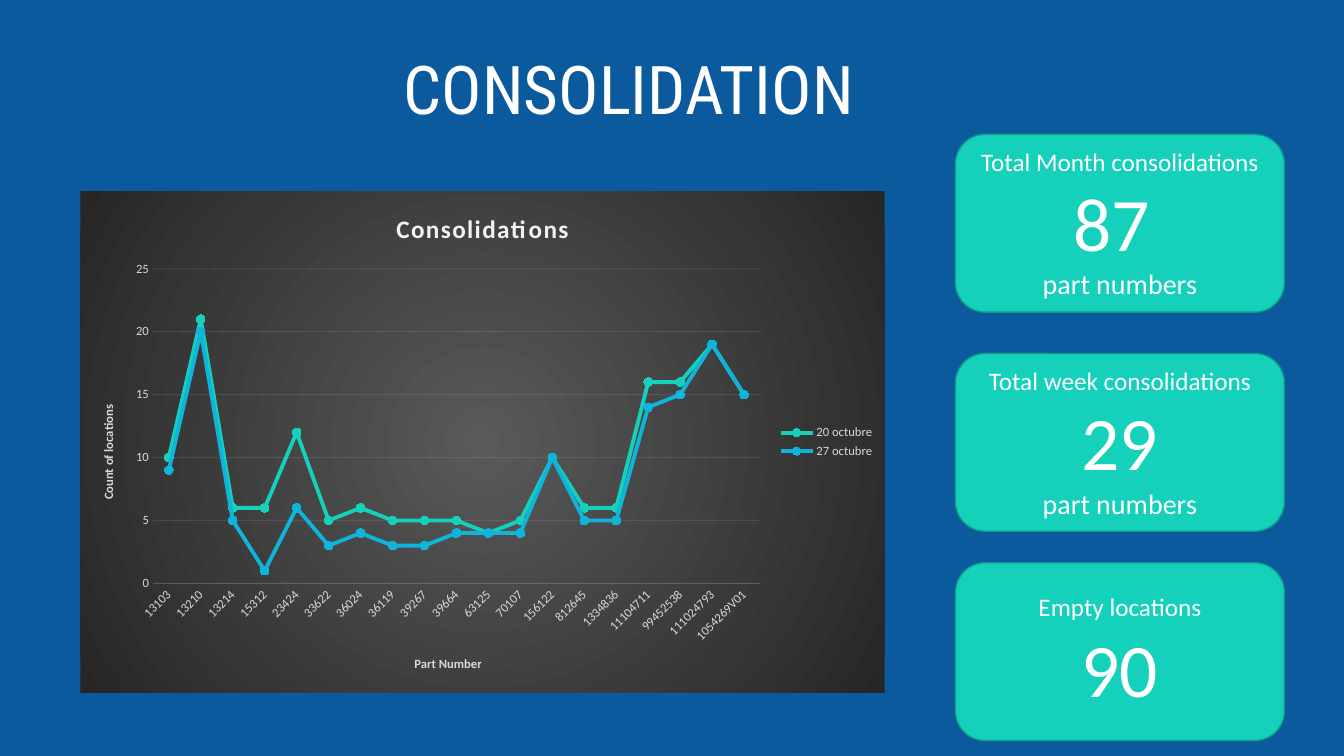
from pptx import Presentation
from pptx.chart.data import CategoryChartData
from pptx.dml.color import RGBColor
from pptx.enum.chart import XL_CHART_TYPE, XL_LEGEND_POSITION, XL_MARKER_STYLE, XL_TICK_MARK
from pptx.enum.shapes import MSO_SHAPE
from pptx.enum.text import MSO_ANCHOR, MSO_AUTO_SIZE, PP_ALIGN
from pptx.oxml import parse_xml
from pptx.oxml.ns import nsdecls
from pptx.util import Pt


class Theme:
    back, white = "0C5A9E", "FFFFFF"
    teal, edge, blue = "15D1BB", "109B8A", "0FB4DB"
    dots = ("0CDAC2", "05BAE5")
    pale, grid = "D9D9D9", "F2F2F2"
    core, rim = "595959", "262626"
    head, body = "Roboto Condensed", "Calibri"
    title, big, unit, label, base, tick = 48, 54, 20, 18, 10, 9


def dress(font, size, color, name=Theme.body, bold=False):
    look = {"size": Pt(size), "name": name, "bold": bold}
    for key, val in look.items():
        setattr(font, key, val)
    font.color.rgb = RGBColor.from_string(color)


def rule(line, color, width, alpha=None):
    line.fill.solid()
    line.fill.fore_color.rgb = RGBColor.from_string(color)
    line.width = Pt(width)
    if alpha:
        tint = line._get_or_add_ln().find(".//{*}srgbClr")
        tint.append(parse_xml(f'<a:alpha {nsdecls("a")} val="{alpha * 1000}"/>'))


deck = Presentation()
deck.slide_width, deck.slide_height = Pt(960), Pt(540)
slide = deck.slides.add_slide(deck.slide_layouts[5])
slide.background.fill.solid()
slide.background.fill.fore_color.rgb = RGBColor.from_string(Theme.back)

title = slide.shapes.title
place = {"left": 167, "top": 26, "width": 564.5, "height": 70}
for key, val in place.items():
    setattr(title, key, Pt(val))
frame = title.text_frame
frame.text = "CONSOLIDATION"
form = {
    "margin_left": 0, "margin_right": 0, "margin_top": Pt(3.6), "margin_bottom": Pt(3.6),
    "vertical_anchor": MSO_ANCHOR.BOTTOM, "word_wrap": True, "auto_size": MSO_AUTO_SIZE.NONE,
}
for key, val in form.items():
    setattr(frame, key, val)
para = frame.paragraphs[0]
para.alignment = PP_ALIGN.CENTER
para.line_spacing = 0.9
dress(para.runs[0].font, Theme.title, Theme.white, Theme.head)

data = CategoryChartData()
data.categories = [
    "13103", "13210", "13214", "15312", "23424", "33622", "36024", "36119", "39267", "39664",
    "63125", "70107", "156122", "812645", "1334836", "11104711", "99452538", "111024793",
    "1054269V01",
]
data.add_series("20 octubre", [10, 21, 6, 6, 12, 5, 6, 5, 5, 5, 4, 5, 10, 6, 6, 16, 16, 19, 15])
data.add_series("27 octubre", [9, 20, 5, 1, 6, 3, 4, 3, 3, 4, 4, 4, 10, 5, 5, 14, 15, 19, 15])
chart = slide.shapes.add_chart(
    XL_CHART_TYPE.LINE_MARKERS, Pt(57.5), Pt(136.5), Pt(574.5), Pt(358.5), data
).chart
dress(chart.font, Theme.base, Theme.pale)

chart.has_title = True
head = chart.chart_title.text_frame
head.text = "Consolidations"
dress(head.paragraphs[0].runs[0].font, Theme.label, Theme.grid, bold=True)
head.paragraphs[0].runs[0].font._element.set("spc", "100")

chart.has_legend = True
chart.legend.position = XL_LEGEND_POSITION.RIGHT
chart.legend.include_in_layout = False
dress(chart.legend.font, Theme.tick, Theme.pale)

parts, count = chart.category_axis, chart.value_axis
for axis, name in ((parts, "Part Number"), (count, "Count of locations")):
    axis.major_tick_mark = axis.minor_tick_mark = XL_TICK_MARK.NONE
    dress(axis.tick_labels.font, Theme.tick, Theme.pale)
    axis.axis_title.text_frame.text = name
    dress(axis.axis_title.text_frame.paragraphs[0].runs[0].font, Theme.tick, Theme.pale, bold=True)
parts._element.txPr.bodyPr.set("rot", "-2700000")
count.axis_title.text_frame._txBody.bodyPr.set("rot", "-5400000")
rule(parts.format.line, Theme.grid, 0.75, 10)
count.format.line.fill.background()
count.minimum_scale, count.maximum_scale, count.major_unit = 0, 25, 5
count.has_major_gridlines = True
rule(count.major_gridlines.format.line, Theme.grid, 0.75, 10)

plot = chart.plots[0]
plot.vary_by_categories = False
for line, color, dot in zip(plot.series, (Theme.teal, Theme.blue), Theme.dots):
    line.smooth = False
    rule(line.format.line, color, 2.75)
    line.marker.style = XL_MARKER_STYLE.CIRCLE
    line.marker.size = 6
    line.marker.format.fill.solid()
    line.marker.format.fill.fore_color.rgb = RGBColor.from_string(dot)
    rule(line.marker.format.line, dot, 0.75)

space = chart._chartSpace
area = space.chart.plotArea
for old in area.findall("{*}layout"):
    area.remove(old)
area.insert(0, parse_xml(
    f'<c:layout {nsdecls("c")}><c:manualLayout><c:layoutTarget val="inner"/>'
    '<c:xMode val="edge"/><c:yMode val="edge"/><c:x val="0.09"/><c:y val="0.155"/>'
    '<c:w val="0.755"/><c:h val="0.627"/></c:manualLayout></c:layout>'
))
space.chart.addnext(parse_xml(
    f'<c:spPr {nsdecls("c", "a")}><a:gradFill><a:gsLst>'
    f'<a:gs pos="0"><a:srgbClr val="{Theme.core}"/></a:gs>'
    f'<a:gs pos="100000"><a:srgbClr val="{Theme.rim}"/></a:gs></a:gsLst>'
    '<a:path path="circle"><a:fillToRect l="50000" t="50000" r="50000" b="50000"/></a:path>'
    '</a:gradFill><a:ln><a:noFill/></a:ln></c:spPr>'
))

unit = ("part numbers", Theme.unit)
cards = (
    (96, [[("Total Month consolidations", Theme.label)], [("87 ", Theme.big), unit]]),
    (252.5, [[("Total week consolidations", Theme.label)], [("29", Theme.big)], [unit]]),
    (402, [[("Empty locations", Theme.label)], [("90", Theme.big)]]),
)
for top, rows in cards:
    card = slide.shapes.add_shape(
        MSO_SHAPE.ROUNDED_RECTANGLE, Pt(682.5), Pt(top), Pt(235), Pt(127)
    )
    card.shadow.inherit = False
    card.fill.solid()
    card.fill.fore_color.rgb = RGBColor.from_string(Theme.teal)
    rule(card.line, Theme.edge, 1)
    frame = card.text_frame
    frame.word_wrap = True
    frame.vertical_anchor = MSO_ANCHOR.MIDDLE
    for row, runs in enumerate(rows):
        para = frame.add_paragraph() if row else frame.paragraphs[0]
        para.alignment = PP_ALIGN.CENTER
        for spot, (text, size) in enumerate(runs):
            if spot:
                para.add_line_break()
            run = para.add_run()
            run.text = text
            dress(run.font, size, Theme.white)

deck.save("out.pptx")
